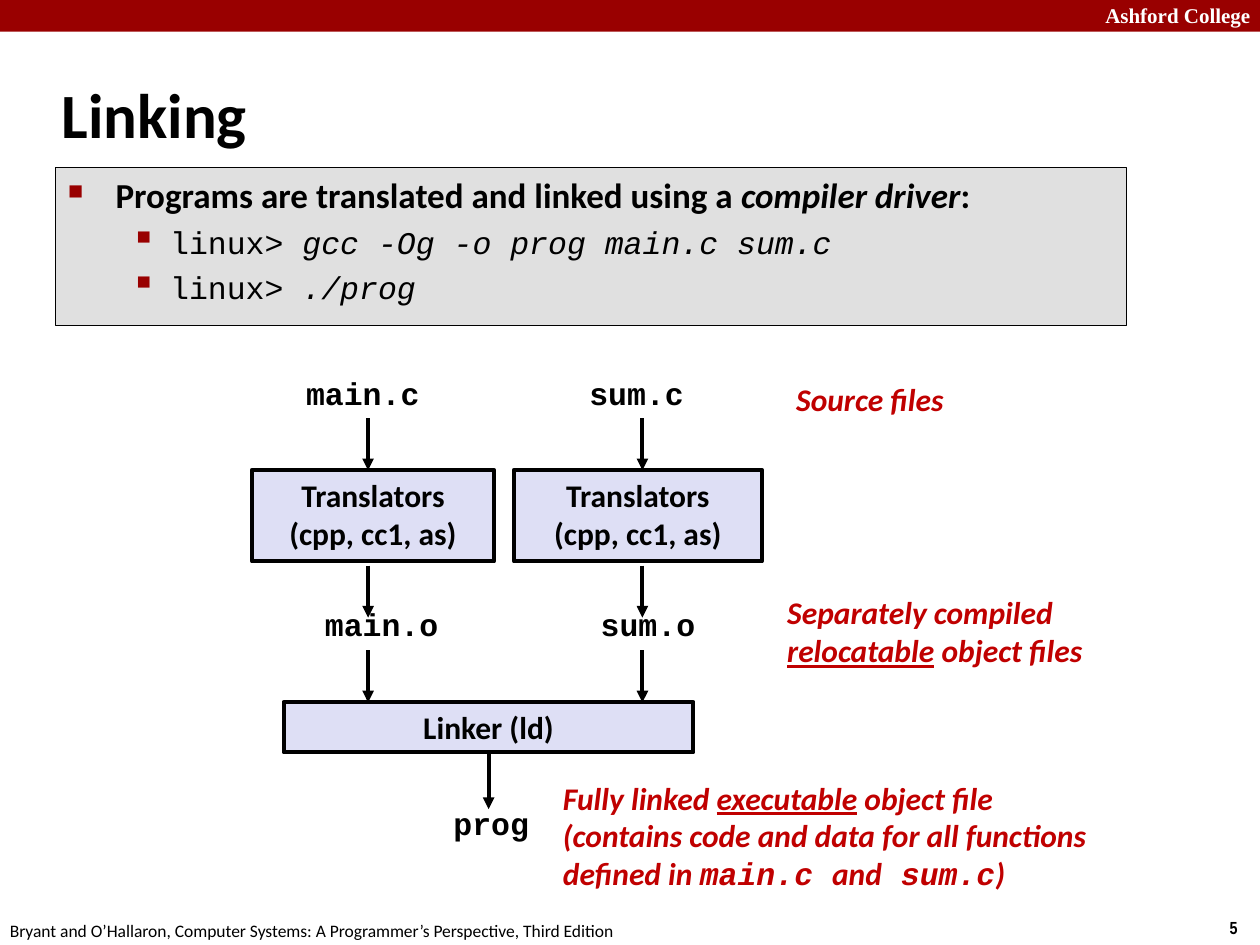
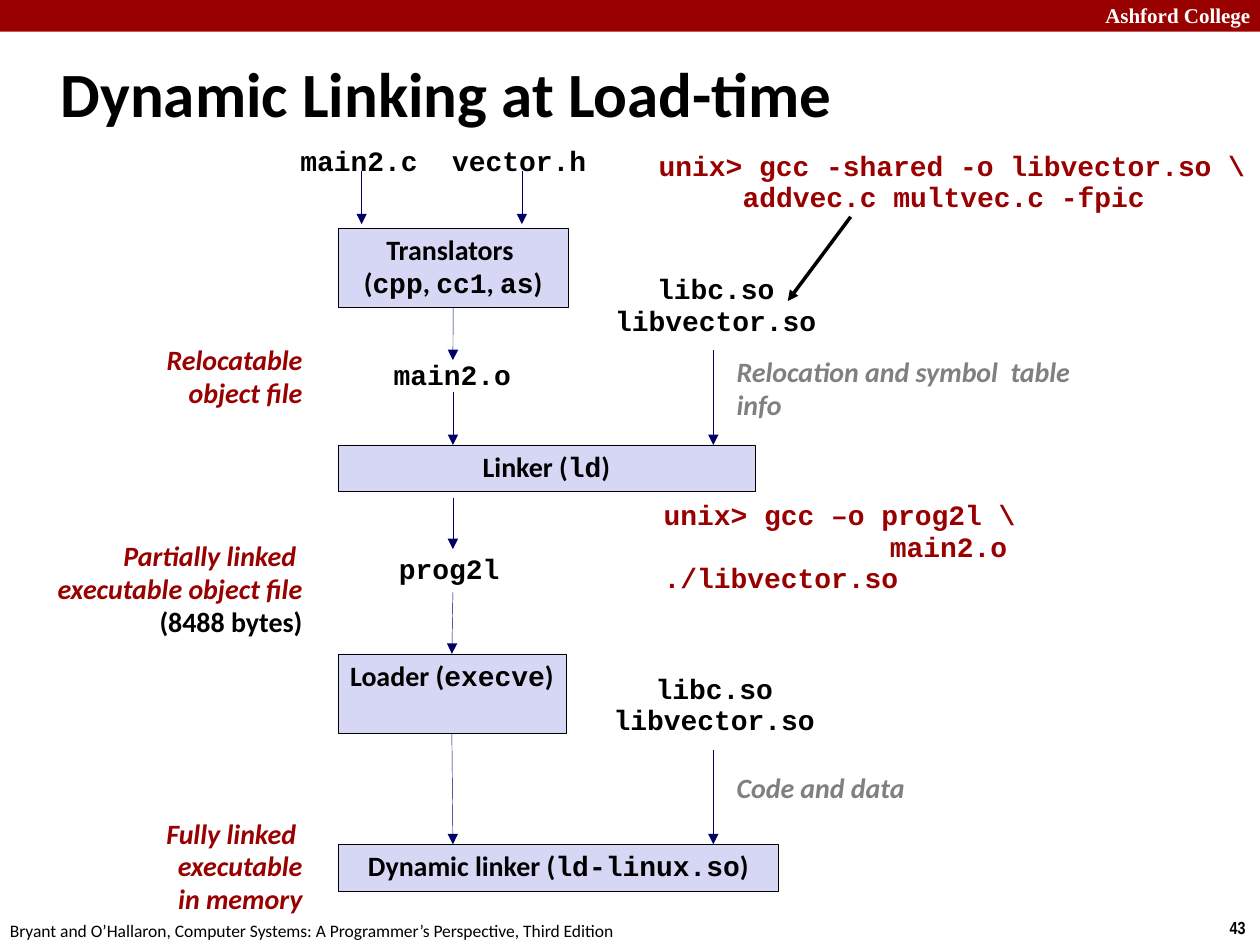
import lxml.etree
import pptx
import pptx.dml.color
import pptx.enum.shapes
import pptx.enum.text
import pptx.oxml.ns
import pptx.util

Cm, Pt = pptx.util.Cm, pptx.util.Pt
RGBColor = pptx.dml.color.RGBColor
Align = pptx.enum.text.PP_ALIGN
Anchor = pptx.enum.text.MSO_ANCHOR
AutoSize = pptx.enum.text.MSO_AUTO_SIZE
qn = pptx.oxml.ns.qn

BLACK = RGBColor(0x00, 0x00, 0x00)
WHITE = RGBColor(0xFF, 0xFF, 0xFF)
CRIMSON = RGBColor(0x99, 0x00, 0x00)
NOTE_RED = RGBColor(0xC0, 0x00, 0x00)
NAVY = RGBColor(0x00, 0x00, 0x66)
GREY = RGBColor(0x80, 0x80, 0x80)
PANEL_GREY = RGBColor(0xE0, 0xE0, 0xE0)
LAVENDER = RGBColor(0xDE, 0xDF, 0xF5)
PALE_LILAC = RGBColor(0xD6, 0xD6, 0xF5)

CODE = "Courier New"
ITALIC = {"italic": True}
UNDERLINE = {"underline": True}


def style(size, name="Calibri", color=BLACK, bold=True, **more):
    return {"size": Pt(size), "name": name, "color": color, "bold": bold, **more}


def code(text):
    return text, {"name": CODE}


class Deck:
    """Holds the presentation, the current slide and the diagram style in use."""

    def __init__(self):
        self.prs = pptx.Presentation()
        self.prs.slide_width, self.prs.slide_height = Cm(25.4), Cm(19.05)
        self.s = None
        self.box_fill, self.line_color, self.line_width = LAVENDER, BLACK, 2.25

    def new_slide(self, title, at, number):
        self.s = self.prs.slides.add_slide(self.prs.slide_layouts[5])
        self.panel((0, 0, 25.4, 0.64), [], {}, CRIMSON, None)
        self.text((21.95, -0.08, 3.51, 0.76), ["Ashford College"],
                  style(12, "Times New Roman", WHITE), wrap=True,
                  alignment=Align.RIGHT)
        self.text((24.54, 18.36, 0.86, 0.69), [number], style(10, "Arial Narrow"))
        self.text((-0.05, 18.42, 12.9, 0.69),
                  ["Bryant and O’Hallaron, Computer Systems: "
                   "A Programmer’s Perspective, Third Edition"],
                  style(10, bold=False))
        sp = self.s.shapes.title
        sp.left, sp.top, sp.width, sp.height = map(Cm, at)
        sp.text_frame.auto_size = AutoSize.NONE
        sp.text_frame.vertical_anchor = Anchor.MIDDLE
        self.fill_frame(sp.text_frame, [title], style(36), alignment=Align.LEFT)

    def fill_frame(self, tf, lines, font, **layout):
        """A line is a string or a list of strings and (text, format) pairs."""
        for i, line in enumerate(lines):
            p = tf.add_paragraph() if i else tf.paragraphs[0]
            for key, value in layout.items():
                setattr(p, key, value)
            for part in [line] if isinstance(line, str) else line:
                text, changes = (part, {}) if isinstance(part, str) else part
                r = p.add_run()
                r.text = text
                for key, value in {**font, **changes}.items():
                    if key == "color":
                        r.font.color.rgb = value
                    else:
                        setattr(r.font, key, value)

    def text(self, at, lines, font, wrap=False, **layout):
        sp = self.s.shapes.add_textbox(*map(Cm, at))
        tf = sp.text_frame
        tf.word_wrap = wrap
        tf.auto_size = AutoSize.SHAPE_TO_FIT_TEXT
        self.fill_frame(tf, lines, font, **layout)
        return sp

    def panel(self, at, lines, font, fill, line, width=0.75, **layout):
        sp = self.s.shapes.add_shape(
            pptx.enum.shapes.MSO_SHAPE.RECTANGLE, *map(Cm, at))
        sp.shadow.inherit = False
        sp.fill.solid()
        sp.fill.fore_color.rgb = fill
        if line is None:
            sp.line.fill.background()
        else:
            sp.line.color.rgb = line
            sp.line.width = Pt(width)
        tf = sp.text_frame
        tf.word_wrap = True
        tf.vertical_anchor = Anchor.TOP
        self.fill_frame(tf, lines, font, **layout)
        return sp

    def step(self, at, lines, font, **layout):
        """A box of the flow diagram."""
        return self.panel(at, lines, font, self.box_fill, BLACK, self.line_width,
                          alignment=Align.CENTER, **layout)

    def arrow(self, start, end, color=None, width=None):
        """Ends are points, or shapes: left at the bottom, entered at the top."""
        points = [e if isinstance(e, tuple) else (0, 0) for e in (start, end)]
        c = self.s.shapes.add_connector(
            pptx.enum.shapes.MSO_CONNECTOR.STRAIGHT, *map(Cm, points[0] + points[1]))
        if not isinstance(start, tuple):
            c.begin_connect(start, 2)
        if not isinstance(end, tuple):
            c.end_connect(end, 0)
        c.line.color.rgb = color or self.line_color
        c.line.width = Pt(width or self.line_width)
        ln = c.line._get_or_add_ln()
        lxml.etree.SubElement(ln, qn("a:tailEnd"), type="triangle")
        lxml.etree.SubElement(ln.getparent(), qn("a:effectLst"))

    def indent(self, p, margin, first):
        pPr = p._p.get_or_add_pPr()
        pPr.set("marL", str(Cm(margin)))
        pPr.set("indent", str(Cm(first)))
        return pPr

    def bullet(self, p, char, percent, margin, first):
        pPr = self.indent(p, margin, first)
        color = lxml.etree.SubElement(pPr, qn("a:buClr"))
        lxml.etree.SubElement(color, qn("a:srgbClr"), val=str(CRIMSON))
        lxml.etree.SubElement(pPr, qn("a:buSzPct"), val=str(percent * 1000))
        lxml.etree.SubElement(pPr, qn("a:buChar"), char=char)


def linking(deck):
    deck.new_slide("Linking", (0.99, 1.22, 21.08, 2.11), "5")
    command = {"name": CODE, "size": Pt(18), "bold": False}
    typed = {**command, **ITALIC}
    intro = deck.panel((1.12, 3.38, 21.59, 3.18), [
        ["Programs are translated and linked using a ",
         ("compiler driver", ITALIC), ":"],
        [("linux> ", command), ("gcc -Og -o prog main.c sum.c", typed)],
        [("linux> ", command), ("./prog", typed)],
    ], style(20), PANEL_GREY, BLACK, alignment=Align.LEFT)
    head, *commands = intro.text_frame.paragraphs
    deck.bullet(head, "■", 60, 0.96, -0.96)
    for p in commands:
        p.space_before = Pt(4)
        deck.bullet(p, "▪", 110, 2.06, -0.79)

    label, file_name = style(18), style(18, CODE)
    for left, width in ((5.08, 4.88), (10.36, 5)):
        deck.step((left, 9.47, width, 1.85), ["Translators", "(cpp, cc1, as)"], label)
    linker = deck.step((5.72, 14.15, 8.26, 1.02), ["Linker (ld)"], label)
    for name, left, top, width in (("main.c", 5.92, 7.42, 2.82),
                                   ("sum.c", 11.63, 7.42, 2.44),
                                   ("main.o", 6.3, 12.07, 2.82),
                                   ("sum.o", 11.86, 12.07, 2.44),
                                   ("prog", 8.89, 16.08, 2.06)):
        deck.text((left, top, width, 1.02), [name], file_name)
    for x in (7.42, 12.95):
        for y in (8.43, 11.4, 13.11):
            deck.arrow((x, y), (x, y + 1.05))
    deck.arrow(linker, (9.85, 16.31))

    note = style(18, color=NOTE_RED, italic=True)
    deck.text((15.8, 7.54, 3.66, 1.02), ["Source files"], note)
    deck.text((15.62, 11.84, 6.68, 1.8), [
        "Separately compiled",
        [("relocatable", UNDERLINE), " object files"],
    ], note)
    deck.text((11.1, 15.57, 11.33, 2.57), [
        ["Fully linked ", ("executable", UNDERLINE), " object file"],
        "(contains code and data for all functions",
        ["defined in ", code("main.c "), "and", code(" sum.c"), ")"],
    ], note)


def dynamic_linking(deck):
    deck.box_fill, deck.line_color, deck.line_width = PALE_LILAC, NAVY, 0.25
    deck.new_slide("Dynamic Linking at Load-time", (0.97, 0.79, 24.21, 2.16), "43")
    label, file_name = style(16), style(16, CODE)
    label_gap, code_gap = {"line_spacing": 0.98}, {"line_spacing": 0.94}
    left, stem, library_x = 6.81, 9.13, 14.38

    translators = deck.step((left, 4.6, 4.65, 1.6), [
        "Translators ",
        ["(", code("cpp"), ", ", code("cc1"), ", ", code("as"), ")"],
    ], label, **label_gap)
    deck.step((left, 8.97, 8.41, 0.94), [["Linker (", code("ld"), ")"]],
              label, **label_gap)
    loader = deck.step((left, 13.18, 4.6, 1.6), [["Loader (", code("execve"), ")"]],
                       label, **label_gap)
    deck.step((left, 17.02, 8.89, 0.94),
              [["Dynamic linker (", code("ld-linux.so"), ")"]], label, **label_gap)

    libraries = ["libc.so", "libvector.so"]
    for lines, at in ((["main2.c"], (5.79, 2.82, 2.9, 0.91)),
                      (["vector.h"], (8.84, 2.82, 3.25, 0.91)),
                      (["main2.o"], (7.67, 7.14, 2.9, 0.91)),
                      (["prog2l"], (7.77, 11.05, 2.57, 0.91)),
                      (libraries, (12.12, 5.41, 4.62, 1.55)),
                      (libraries, (12.09, 13.46, 4.62, 1.55))):
        deck.text(at, lines, file_name, alignment=Align.CENTER, **code_gap)

    for start, end in (((7.29, 3.45), (7.29, 4.52)),
                       ((10.52, 3.45), (10.52, 4.52)),
                       (translators, (stem, 7.26)),
                       ((stem, 7.9), (stem, 8.97)),
                       ((stem, 10.03), (stem, 11.07)),
                       ((stem, 11.94), loader),
                       (loader, (stem, 17.02)),
                       ((library_x, 7.06), (library_x, 8.97)),
                       ((library_x, 15.11), (library_x, 17.02))):
        deck.arrow(start, end)
    deck.arrow((17.15, 4.37), (15.88, 6.07), BLACK, 2)

    remark = style(16, color=GREY, italic=True)
    deck.text((14.6, 7.06, 7.24, 1.6), ["Relocation and symbol  table info"],
              remark, wrap=True, **label_gap)
    deck.text((14.6, 15.44, 4.93, 0.94), ["Code and data"],
              remark, wrap=True, **label_gap)

    stage = style(16, color=CRIMSON, italic=True)
    size_note = ("(8488 bytes)", {"color": BLACK, "italic": False})
    stages_right = 6.35
    for top, width, height, lines in (
            (6.81, 3.81, 1.6, ["Relocatable", "object file"]),
            (10.77, 6.99, 2.26,
             ["Partially linked ", "executable object file", [size_note]]),
            (16.36, 4.88, 2.26, ["Fully linked ", "executable", "in memory"])):
        deck.text((stages_right - width, top, width, height), lines, stage,
                  wrap=True, alignment=Align.RIGHT, **label_gap)

    command = style(16, CODE, CRIMSON)
    build = deck.text((13.03, 2.92, 12.5, 1.55), [
        "unix> gcc -shared -o libvector.so \\",
        "addvec.c multvec.c -fpic",
    ], command, **code_gap)
    deck.indent(build.text_frame.paragraphs[1], 1.69, 0)
    link = deck.text((13.13, 9.96, 10.11, 1.55), [
        "unix> gcc –o prog2l \\",
        "main2.o ./libvector.so",
    ], command, wrap=True, **code_gap)
    deck.indent(link.text_frame.paragraphs[1], 0, 4.56)


def main():
    deck = Deck()
    linking(deck)
    dynamic_linking(deck)
    deck.prs.save("out.pptx")


if __name__ == "__main__":
    main()
